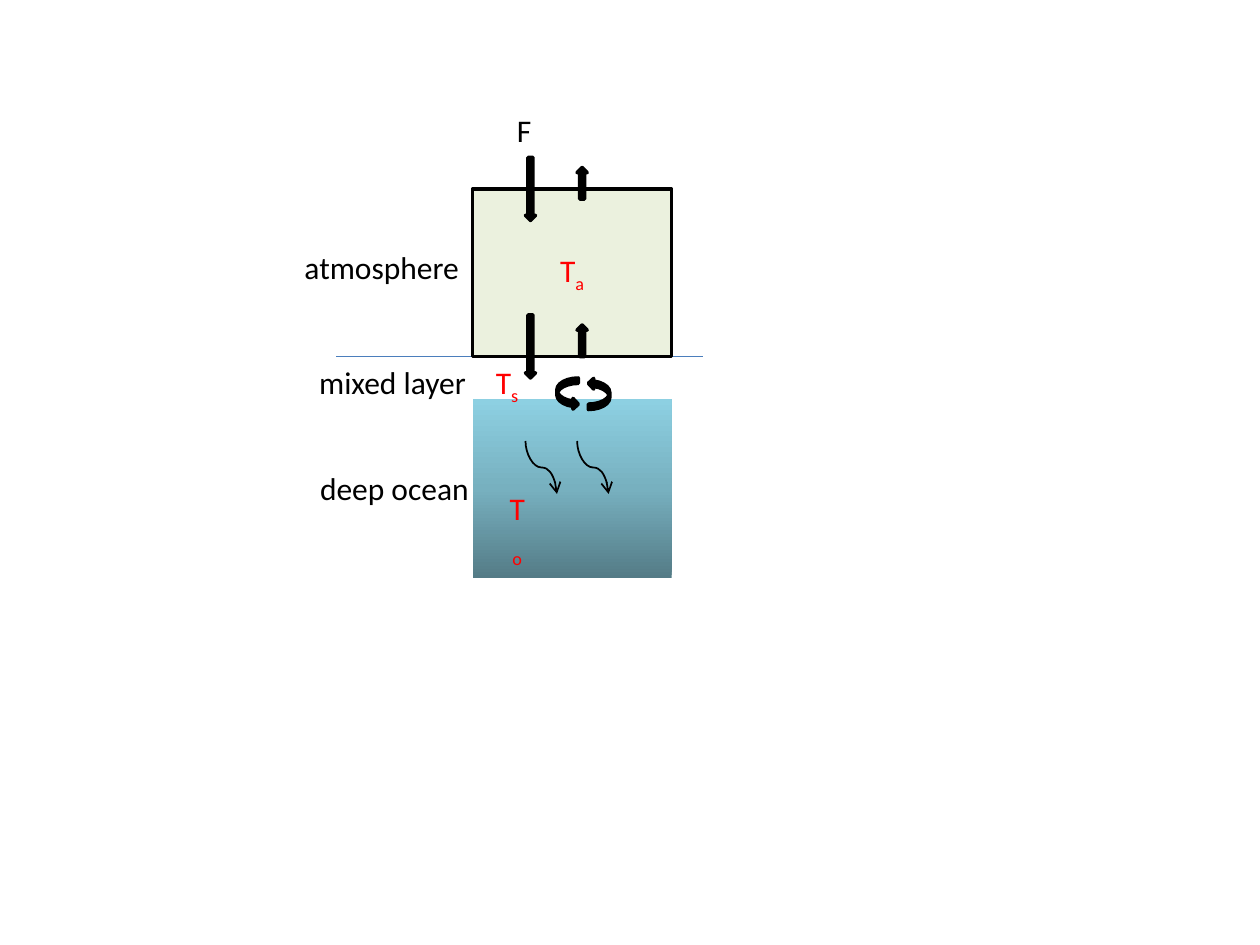
from copy import deepcopy

from lxml.etree import SubElement
from pptx import Presentation
from pptx.dml.color import RGBColor
from pptx.enum.shapes import MSO_CONNECTOR, MSO_SHAPE
from pptx.enum.text import MSO_ANCHOR, MSO_AUTO_SIZE, PP_ALIGN
from pptx.oxml.ns import qn
from pptx.util import Inches, Pt

COLORS = {
    "black": "000000", "red": "FF0000", "air": "EBF1DE", "surface": "4B7EBC",
    "deep": "547B86", "middle": "77B0BF", "shallow": "8DD0E2",
}
FONT = "Calibri"

# Layers of the model
BOX_LEFT, BOX_WIDTH = 3.75, 1.58
AIR_TOP, SURFACE, OCEAN_TOP, OCEAN_HEIGHT = 1.5, 2.83, 3.17, 1.42

# Columns of the downward and upward fluxes
DOWN_X, UP_X = 4.17, 4.58

# Block arrows: preset, left, top, width, height, flips
BLOCK_ARROWS = [
    (MSO_SHAPE.DOWN_ARROW, DOWN_X, 1.25, 0.08, 0.5, ()),
    (MSO_SHAPE.DOWN_ARROW, DOWN_X, 2.5, 0.08, 0.5, ()),
    (MSO_SHAPE.DOWN_ARROW, UP_X, 2.58, 0.08, 0.25, ("flipV",)),
    (MSO_SHAPE.DOWN_ARROW, UP_X, 1.33, 0.08, 0.25, ("flipV",)),
    (MSO_SHAPE.CURVED_RIGHT_ARROW, 4.42, 3, 0.17, 0.25, ()),
    (MSO_SHAPE.CURVED_RIGHT_ARROW, 4.67, 3, 0.17, 0.25, ("flipH", "flipV")),
]

# Wavy arrows into the deep ocean
WAVE_TOP, WAVE_DROP, WAVE_SHIFT = 3.5, 0.42, 0.25

# Labels: text, subscript, color, left, top, width
LABELS = [
    ("T", "s", "red", 3.83, 2.83, 0.39),
    ("T", "o", "red", 3.91, 3.83, 0.39),
    ("atmosphere", "", "black", 2.31, 1.92, 1.44),
    ("mixed layer", "", "black", 2.42, 2.83, 1.39),
    ("deep ocean", "", "black", 2.42, 3.67, 1.42),
    ("F", "", "black", 4, 0.83, 0.32),
]
LABEL_HEIGHT = 0.4


def rgb(name):
    return RGBColor.from_string(COLORS[name])


def add_block(slide, preset, left, top, width, height, fill=None, line=None):
    shape = slide.shapes.add_shape(
        preset, Inches(left), Inches(top), Inches(width), Inches(height))
    shape.shadow.inherit = False
    if fill:
        shape.fill.solid()
        shape.fill.fore_color.rgb = rgb(fill)
    if line:
        shape.line.color.rgb = rgb(line)
        shape.line.width = Pt(2)
    else:
        shape.line.fill.background()
    return shape


def add_line(slide, kind, start, end, color, width):
    connector = slide.shapes.add_connector(
        kind, *(Inches(value) for value in (*start, *end)))
    connector.line.color.rgb = rgb(color)
    connector.line.width = Pt(width)
    SubElement(connector._element.spPr, qn("a:effectLst"))
    return connector


def write_symbol(text_frame, text, subscript, color):
    paragraph = text_frame.paragraphs[0]
    paragraph.alignment = PP_ALIGN.CENTER
    for part in filter(None, (text, subscript)):
        run = paragraph.add_run()
        run.text = part
        run.font.name = FONT
        run.font.size = Pt(18)
        run.font.color.rgb = rgb(color)
    if subscript:
        run._r.get_or_add_rPr().set("baseline", "-25000")


def add_ocean(slide):
    ocean = add_block(slide, MSO_SHAPE.RECTANGLE, BOX_LEFT, OCEAN_TOP,
                      BOX_WIDTH, OCEAN_HEIGHT)
    ocean.fill.gradient()
    ocean.fill.gradient_angle = 90
    stop_list = ocean._element.spPr.find(".//" + qn("a:gsLst"))
    stop_list.insert(1, deepcopy(stop_list[0]))
    stops = zip(ocean.fill.gradient_stops, (0, 0.5, 1), ("deep", "middle", "shallow"))
    for stop, position, color in stops:
        stop.position = position
        stop.color.rgb = rgb(color)


def add_wave(slide, left):
    # The curve is laid out sideways around its centre, then turned upright
    center_x, center_y = left + WAVE_SHIFT / 2, WAVE_TOP + WAVE_DROP / 2
    half_length, half_height = WAVE_DROP / 2, WAVE_SHIFT / 2
    wave = add_line(slide, MSO_CONNECTOR.CURVE,
                    (center_x + half_length, center_y - half_height),
                    (center_x - half_length, center_y + half_height), "black", 1)
    wave._element.spPr.find(qn("a:xfrm")).set("rot", str(270 * 60000))
    SubElement(wave.line._get_or_add_ln(), qn("a:tailEnd"), type="arrow")


def main():
    presentation = Presentation()
    presentation.slide_width, presentation.slide_height = Inches(10), Inches(7.5)
    slide = presentation.slides.add_slide(presentation.slide_layouts[6])

    # Ocean, sea surface and atmosphere
    add_ocean(slide)
    add_line(slide, MSO_CONNECTOR.STRAIGHT, (2.67, SURFACE), (5.58, SURFACE),
             "surface", 0.75)
    air = add_block(slide, MSO_SHAPE.RECTANGLE, BOX_LEFT, AIR_TOP, BOX_WIDTH,
                    SURFACE - AIR_TOP, "air", "black")
    air.text_frame.vertical_anchor = MSO_ANCHOR.MIDDLE
    write_symbol(air.text_frame, "T", "a", "red")

    # Fluxes and mixing
    for *geometry, flips in BLOCK_ARROWS:
        arrow = add_block(slide, *geometry, "black", "black")
        for flip in flips:
            arrow._element.spPr.find(qn("a:xfrm")).set(flip, "1")
    for left in (DOWN_X, UP_X):
        add_wave(slide, left)

    # Labels
    for text, subscript, color, left, top, width in LABELS:
        box = slide.shapes.add_textbox(
            Inches(left), Inches(top), Inches(width), Inches(LABEL_HEIGHT))
        box.text_frame.word_wrap = False
        box.text_frame.auto_size = MSO_AUTO_SIZE.SHAPE_TO_FIT_TEXT
        write_symbol(box.text_frame, text, subscript, color)

    presentation.save("out.pptx")


if __name__ == "__main__":
    main()
